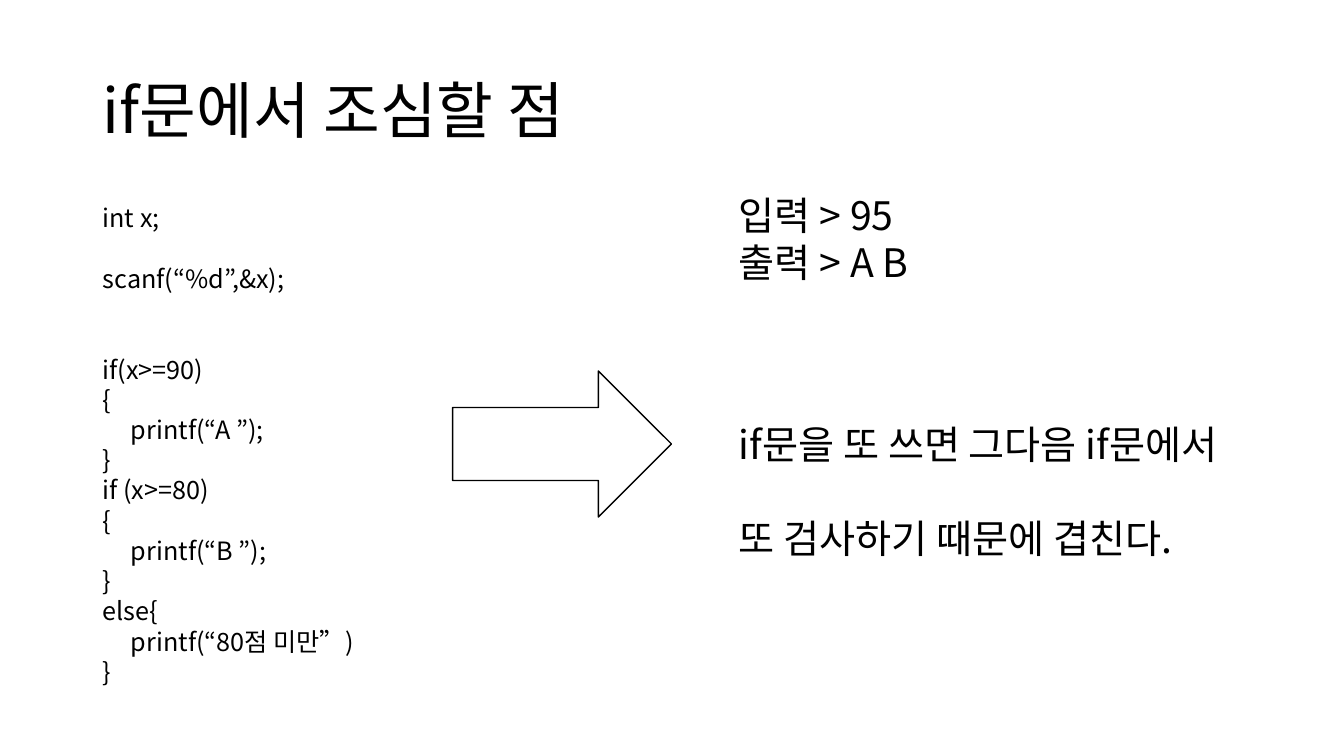
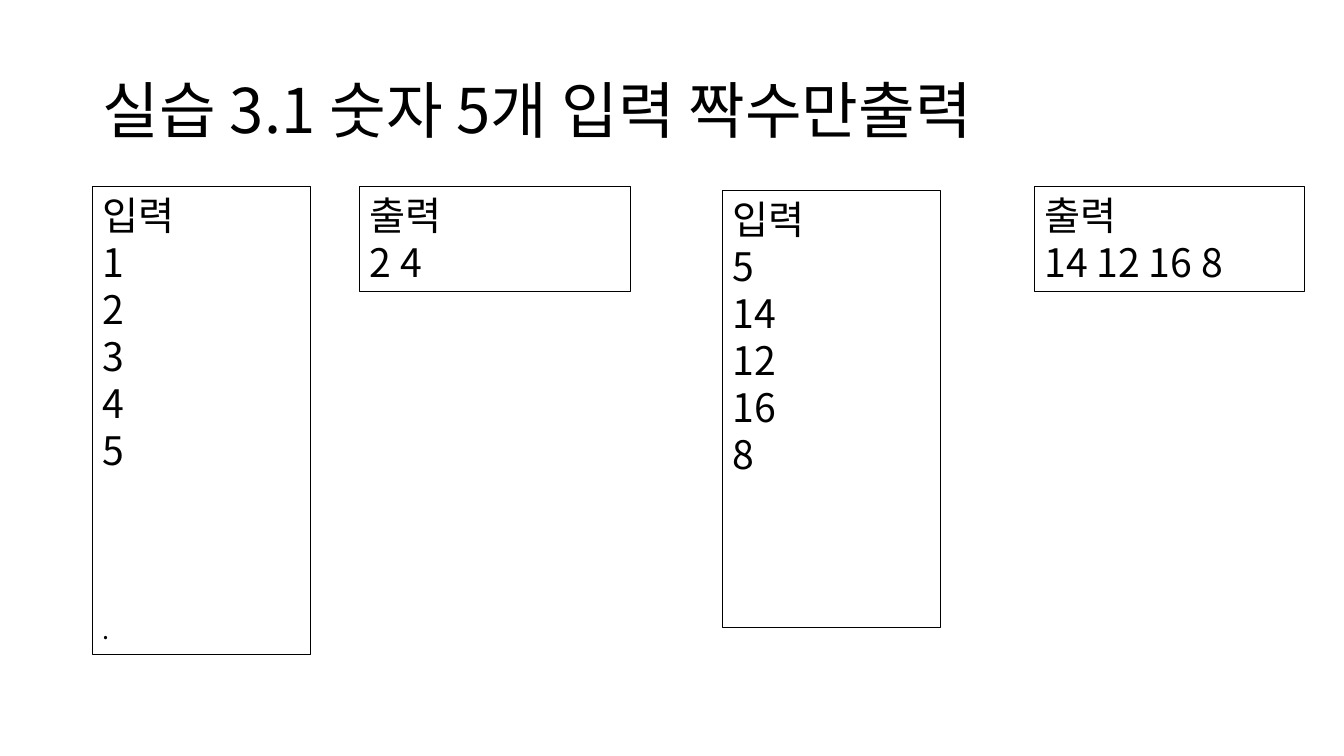
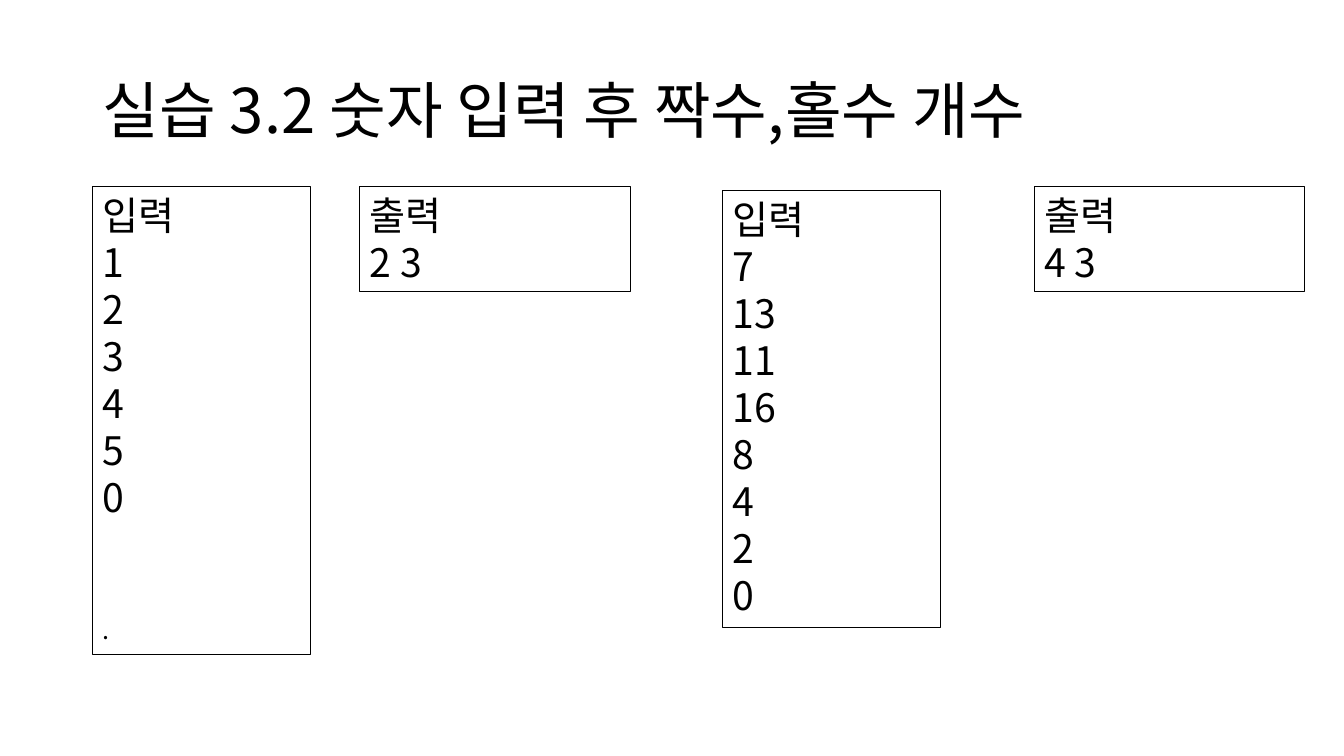
from lxml import etree
from pptx import Presentation
from pptx.dml.color import RGBColor
from pptx.enum.shapes import MSO_SHAPE
from pptx.enum.text import MSO_ANCHOR, PP_ALIGN
from pptx.oxml.ns import qn
from pptx.util import Inches, Pt

FONT = "Noto Sans CJK KR"
BLACK, WHITE = "000000", "FFFFFF"
TITLE_SIZE, BODY_SIZE, CODE_SIZE = 44, 28, 18
LINE = 1.2  # line pitch as a multiple of the text size

# Content: a body line is (text, empty lines above, size, indent in inches)


def line(text, gap=0, size=BODY_SIZE, indent=0):
    return text, gap, size, indent


def code(text, gap=0, indent=0):
    return line(text, gap, CODE_SIZE, indent)


CAUTION_TITLE = "if문에서 조심할 점"
CODE_INDENT = 0.28
CODE_LINES = [
    code("int x;"),
    code("scanf(“%d”,&x);", gap=1),
    code("if(x>=90)", gap=2),
    code("{"),
    code("printf(“A ”);", indent=CODE_INDENT),
    code("}"),
    code("if (x>=80)"),
    code("{"),
    code("printf(“B ”);", indent=CODE_INDENT),
    code("}"),
    code("else{"),
    code("printf(“80점 미만”)", indent=CODE_INDENT),
    code("}"),
]
RESULT_LINES = [line("입력 > 95"), line("출력 > A B")]
REASON_LINES = [line("if문을 또 쓰면 그다음 if문에서"),
                line("또 검사하기 때문에 겹친다.", gap=1)]

# Each exercise: title, then (input numbers, output) of two examples
EXERCISES = [
    ("실습 3.1 숫자 5개 입력 짝수만출력",
     [("1 2 3 4 5", "2 4"), ("5 14 12 16 8", "14 12 16 8")]),
    ("실습 3.2 숫자 입력 후 짝수,홀수 개수",
     [("1 2 3 4 5 0", "2 3"), ("7 13 11 16 8 4 2 0", "4 3")]),
]

# Places: left, top, width, height
TITLE_BOX = (0.92, 0.4, 11.5, 1.45)
CODE_BOX = (0.92, 1.85, 4.55, 5.12)
ARROW_BOX = (4.49, 3.68, 2.17, 1.45)
RESULT_BOX = (7.23, 1.85, 4.55, 1.53)
REASON_BOX = (7.23, 3.38, 5.52, 2.98)
EXAMPLE_BOXES = [
    ((0.92, 1.85, 2.16, 4.64), (3.57, 1.85, 2.68, 1.04)),
    ((7.17, 1.89, 2.16, 4.34), (10.26, 1.85, 2.68, 1.04)),
]
DOT_ROW = 9  # row of the closing dot in the first input box


def color(hex_string):
    return RGBColor.from_string(hex_string)


def style_run(run, size):
    for name, value in {"name": FONT, "size": Pt(size)}.items():
        setattr(run.font, name, value)
    run.font.color.rgb = color(BLACK)
    east_asian = etree.SubElement(run.font._element, qn("a:ea"))
    east_asian.set("typeface", FONT)


def set_frame(frame, anchor):
    frame.word_wrap = True
    frame.vertical_anchor = anchor


def add_title(slide, text):
    frame = slide.shapes.add_textbox(*map(Inches, TITLE_BOX)).text_frame
    set_frame(frame, MSO_ANCHOR.MIDDLE)
    paragraph = frame.paragraphs[0]
    paragraph.line_spacing = 0.9
    run = paragraph.add_run()
    run.text = text
    style_run(run, TITLE_SIZE)


def add_outline(slide, preset, box, fill=None, border=BLACK, weight=0.75):
    shape = slide.shapes.add_shape(preset, *map(Inches, box))
    shape.shadow.inherit = False
    if fill:
        shape.fill.solid()
        shape.fill.fore_color.rgb = color(fill)
    else:
        shape.fill.background()
    shape.line.color.rgb = color(border)
    shape.line.width = Pt(weight)
    return shape


def add_panel(slide, box, lines, anchor=MSO_ANCHOR.TOP, **look):
    frame = add_outline(slide, MSO_SHAPE.RECTANGLE, box, **look).text_frame
    set_frame(frame, anchor)
    for index, (text, gap, size, indent) in enumerate(lines):
        paragraph = frame.add_paragraph() if index else frame.paragraphs[0]
        pitch = size * LINE
        layout = {"alignment": PP_ALIGN.LEFT, "line_spacing": Pt(pitch),
                  "space_before": Pt(gap * pitch)}
        for name, value in layout.items():
            setattr(paragraph, name, value)
        if indent:
            paragraph._p.get_or_add_pPr().set("marL", str(Inches(indent)))
        run = paragraph.add_run()
        run.text = text
        style_run(run, size)


def new_slide(deck, title):
    slide = deck.slides.add_slide(deck.slide_layouts[6])
    add_title(slide, title)
    return slide


def build_caution(deck):
    slide = new_slide(deck, CAUTION_TITLE)
    plain = {"fill": WHITE, "border": WHITE, "weight": 1}
    add_panel(slide, CODE_BOX, CODE_LINES, MSO_ANCHOR.MIDDLE, **plain)
    add_outline(slide, MSO_SHAPE.RIGHT_ARROW, ARROW_BOX, fill=WHITE, weight=1)
    add_panel(slide, RESULT_BOX, RESULT_LINES, **plain)
    add_panel(slide, REASON_BOX, REASON_LINES, MSO_ANCHOR.MIDDLE, **plain)


def build_exercise(deck, title, examples):
    slide = new_slide(deck, title)
    for index, (numbers, output) in enumerate(examples):
        input_box, output_box = EXAMPLE_BOXES[index]
        input_lines = [line(text) for text in ["입력", *numbers.split()]]
        if index == 0:
            # The gap is counted in body lines, the dot is set smaller
            gap = (DOT_ROW - len(input_lines)) * BODY_SIZE / CODE_SIZE
            input_lines.append(code(".", gap))
        add_panel(slide, input_box, input_lines)
        add_panel(slide, output_box, [line("출력"), line(output)])


def main():
    deck = Presentation()
    deck.slide_width, deck.slide_height = Inches(13.33), Inches(7.5)
    build_caution(deck)
    for title, examples in EXERCISES:
        build_exercise(deck, title, examples)
    deck.save("out.pptx")


if __name__ == "__main__":
    main()
